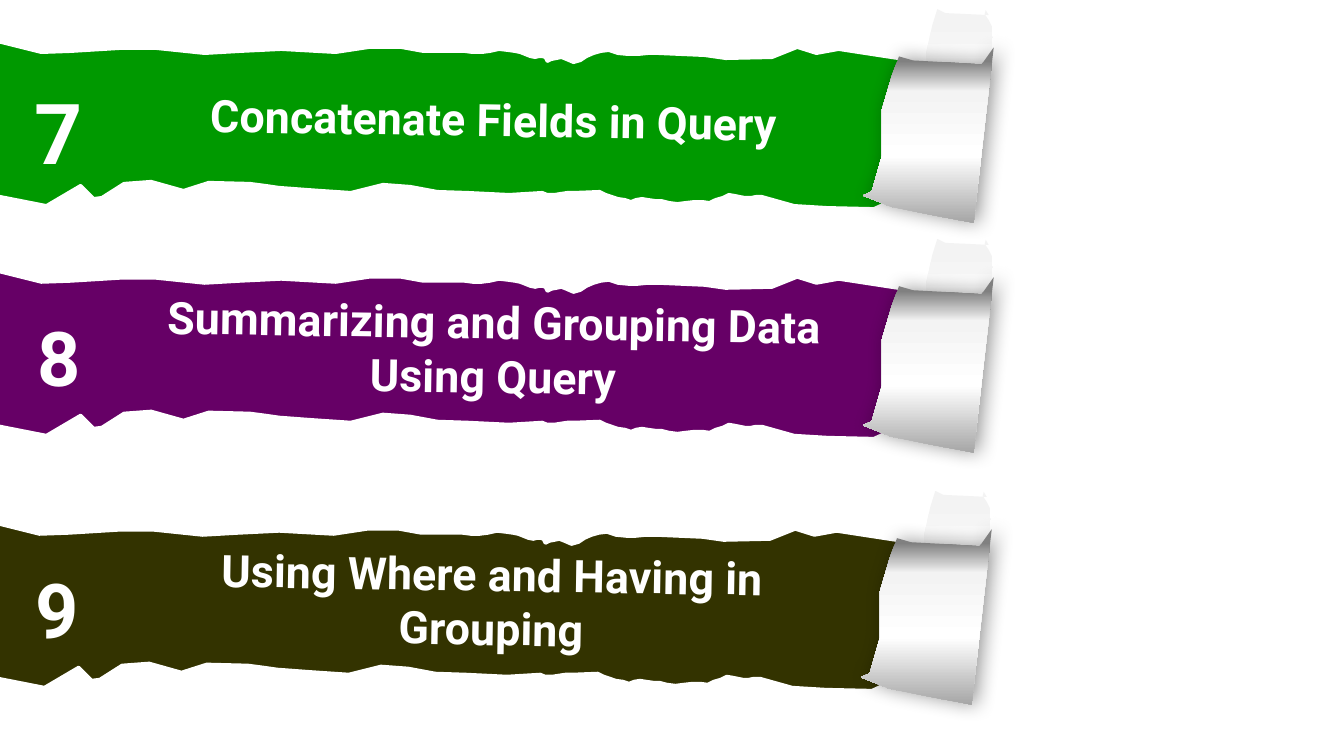
from dataclasses import dataclass
from typing import Any

from lxml import etree
from pptx import Presentation
from pptx.dml.color import RGBColor
from pptx.enum.text import MSO_AUTO_SIZE, PP_ALIGN
from pptx.oxml.ns import qn
from pptx.util import Cm, Pt

CENTER = PP_ALIGN.CENTER
FIT = MSO_AUTO_SIZE.SHAPE_TO_FIT_TEXT
GRID = Cm(2.54) / 100  # one outline unit
CURVE_STEPS = 5

Outline = list[tuple[int, ...]]
Stops = tuple[tuple[int, str], ...]


@dataclass(frozen=True)
class Theme:
    font: str = "Roboto"
    white: str = "FFFFFF"
    green: str = "009900"
    purple: str = "660066"
    olive: str = "333300"
    shadow: str = "000000"
    tip: Stops = ((8, "F3F3F3"), (62, "FFFFFF"), (100, "A6A6A6"))
    curl: Stops = ((8, "808080"), (25, "F3F3F3"), (62, "FFFFFF"), (100, "A6A6A6"))
    title_size: int = 32
    edge_width: float = 2.25


@dataclass(frozen=True)
class Strip:
    number: str
    number_size: int
    number_height: float
    title: str
    title_height: float
    color: str
    left: float
    top: float


@dataclass(frozen=True)
class TextBox:
    text: str
    size: int
    left: float
    top: float
    width: float
    height: float
    rotation: float = 0


THEME = Theme()

STRIPS = [
    Strip("7", 60, 2.82, "Concatenate Fields in Query", 1.63, THEME.green, 0, 0),
    Strip("8", 54, 2.57, "Summarizing and Grouping Data Using Query", 3.0,
          THEME.purple, 0, 5.79),
    Strip("9", 54, 2.57, "Using Where and Having in Grouping", 3.0,
          THEME.olive, -0.05, 12.14),
]

# Two numbers are a line's end; six are a curve's two handles and end.
TEAR: Outline = [
    (-5, 194), (46, 204), (80, 184), (93, 197), (101, 196), (123, 182),
    (150, 180), (182, 189), (207, 181), (248, 182),
    (273, 187, 295, 187, 318, 189), (348, 191), (380, 183), (407, 185),
    (434, 190), (464, 191), (505, 193), (538, 191),
    (546, 196, 559, 191, 570, 191), (595, 190),
    (604, 197, 616, 196, 626, 200), (634, 194, 646, 199, 656, 199),
    (668, 205, 683, 200, 697, 200), (708, 204, 720, 190, 729, 194),
    (736, 197, 747, 195, 756, 195), (788, 204), (821, 206), (867, 207),
    (878, 202), (884, 189), (895, 133), (894, 98), (901, 66), (904, 60),
    (832, 49), (810, 53), (791, 47), (766, 57), (720, 58), (699, 55),
    (653, 53), (637, 52, 619, 57, 604, 50), (591, 50, 580, 59, 569, 62),
    (557, 54, 550, 58, 543, 61), (540, 51, 534, 59, 526, 56),
    (517, 52, 513, 51, 495, 49), (480, 55, 467, 50, 452, 51),
    (420, 51), (398, 47), (366, 47), (333, 52), (279, 49), (238, 51),
    (203, 53), (155, 48), (119, 48), (70, 51), (41, 52), (1, 42),
    (-18, 43), (-10, 84), (-17, 162),
]
TIP: Outline = [
    (906, 122), (923, 131), (948, 137), (974, 144),
    (978, 108, 984, 59, 985, 37), (985, 14, 974, 19, 978, 10),
    (981, 15), (961, 14), (938, 13), (930, 9), (925, 25), (919, 53),
    (918, 90), (912, 119),
]
CURL: Outline = [
    (856, 194), (884, 205), (923, 213), (966, 221), (981, 90), (986, 47),
    (974, 64), (943, 62), (906, 60), (892, 56), (885, 75), (875, 109),
    (875, 155), (865, 190),
]


def flatten(outline: Outline) -> list[tuple[float, float]]:
    """Return the outline's points, with each curve cut into short lines."""
    points: list[tuple[float, float]] = []
    for step in outline:
        if len(step) == 2:
            points.append((step[0], step[1]))
            continue
        x0, y0 = points[-1]
        x1, y1, x2, y2, x3, y3 = step
        for i in range(1, CURVE_STEPS + 1):
            t = i / CURVE_STEPS
            a, b, c, d = (1 - t) ** 3, 3 * t * (1 - t) ** 2, 3 * t * t * (1 - t), t ** 3
            points.append((a * x0 + b * x1 + c * x2 + d * x3,
                           a * y0 + b * y1 + c * y2 + d * y3))
    return points


def add_outline(shapes: Any, outline: Outline, strip: Strip) -> Any:
    start, *rest = flatten(outline)
    builder = shapes.build_freeform(*start, scale=GRID)
    builder.add_line_segments(rest, close=True)
    s = builder.convert_to_shape(Cm(strip.left), Cm(strip.top))
    s.shadow.inherit = False
    return s


def add_color(parent: Any, color: str) -> Any:
    return etree.SubElement(parent, qn("a:srgbClr"), val=color)


def add_paper(shapes: Any, outline: Outline, strip: Strip, stops: Stops) -> Any:
    """Draw a piece of torn paper, shaded from top to bottom."""
    s = add_outline(shapes, outline, strip)
    s.line.fill.background()
    s.fill.gradient()
    s.fill.gradient_angle = 270
    stop_list = s._element.spPr.find(qn("a:gradFill")).find(qn("a:gsLst"))
    for old in list(stop_list):
        stop_list.remove(old)
    for percent, color in stops:
        add_color(etree.SubElement(stop_list, qn("a:gs"), pos=str(percent * 1000)), color)
    return s


def add_shadow(s: Any) -> None:
    effects = s._element.spPr.find(qn("a:effectLst"))
    shadow = etree.SubElement(effects, qn("a:outerShdw"), blurRad=str(Pt(14)),
                              dist=str(Pt(3)), dir="0", algn="l", rotWithShape="0")
    etree.SubElement(add_color(shadow, THEME.shadow), qn("a:alpha"), val="40000")


def add_text(shapes: Any, box: TextBox) -> None:
    s = shapes.add_textbox(Cm(box.left), Cm(box.top), Cm(box.width), Cm(box.height))
    s.rotation = box.rotation
    tf = s.text_frame
    tf.word_wrap = True
    tf.auto_size = FIT
    p = tf.paragraphs[0]
    p.alignment = CENTER
    r = p.add_run()
    r.text = box.text
    formats = {"name": THEME.font, "size": Pt(box.size), "bold": True}
    for name, value in formats.items():
        setattr(r.font, name, value)
    r.font.color.rgb = RGBColor.from_string(THEME.white)


def add_strip(shapes: Any, strip: Strip) -> None:
    tear = add_outline(shapes, TEAR, strip)
    tear.fill.solid()
    tear.fill.fore_color.rgb = RGBColor.from_string(strip.color)
    tear.line.color.rgb = RGBColor.from_string(THEME.white)
    tear.line.width = Pt(THEME.edge_width)
    add_paper(shapes, TIP, strip, THEME.tip)
    add_shadow(add_paper(shapes, CURL, strip, THEME.curl))
    add_text(shapes, TextBox(strip.number, strip.number_size, strip.left + 0.59,
                             strip.top + 1.91, 1.8, strip.number_height))
    title_top = strip.top + 3.02 - strip.title_height / 2
    add_text(shapes, TextBox(strip.title, THEME.title_size, strip.left + 3.15,
                             title_top, 18.57, strip.title_height, rotation=1))


def main() -> None:
    prs = Presentation()
    prs.slide_width, prs.slide_height = Cm(33.87), Cm(19.05)
    slide = prs.slides.add_slide(prs.slide_layouts[6])
    for strip in STRIPS:
        add_strip(slide.shapes, strip)
    prs.save("out.pptx")


if __name__ == "__main__":
    main()
